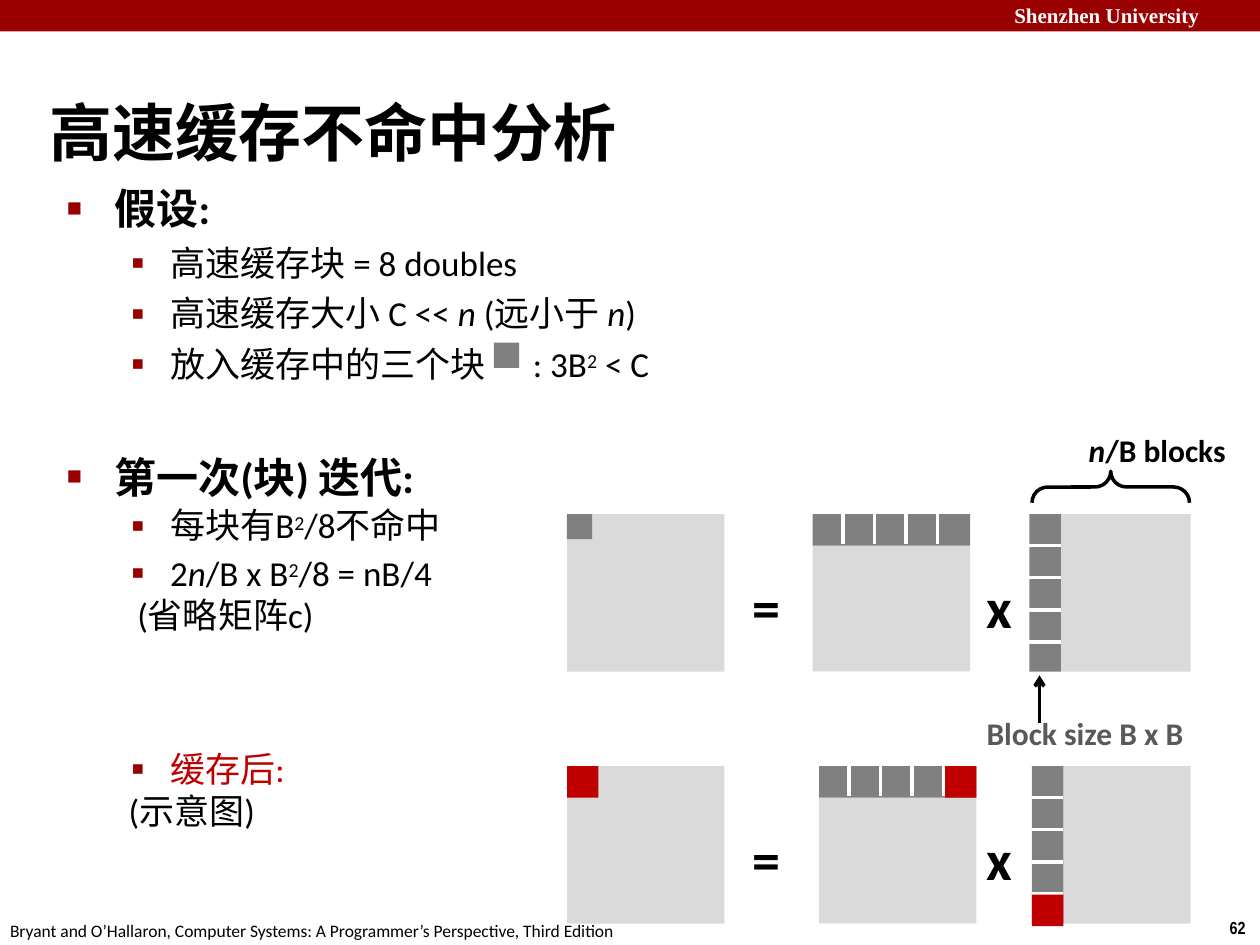
from lxml.etree import SubElement
from pptx import Presentation
from pptx.dml.color import RGBColor
from pptx.enum.shapes import MSO_CONNECTOR as Connector, MSO_SHAPE as Shape
from pptx.enum.text import MSO_ANCHOR as Anchor, MSO_AUTO_SIZE as AutoSize, PP_ALIGN as Align
from pptx.oxml.ns import qn
from pptx.util import Inches, Pt

BLACK, WHITE, DARK_RED, RED = "000000", "FFFFFF", "990000", "C00000"
LIGHT, GREY = "DADADA", "808080"
BLOCK, MATRIX = 0.25, 1.25

presentation = Presentation()
presentation.slide_width, presentation.slide_height = Inches(10), Inches(7.5)
slide = presentation.slides.add_slide(presentation.slide_layouts[1])
shapes = slide.shapes


def write(shape, paragraphs, base, top_inset=0, anchor=Anchor.TOP):
    """Fill a shape with (runs, layout) paragraphs; a run is (text, changes to base)."""
    frame = shape.text_frame
    frame.word_wrap, frame.auto_size, frame.vertical_anchor = True, AutoSize.NONE, anchor
    frame.margin_left = frame.margin_right = frame.margin_bottom = 0
    frame.margin_top = Inches(top_inset)
    for index, (runs, layout) in enumerate(paragraphs):
        paragraph = frame.paragraphs[0] if index == 0 else frame.add_paragraph()
        paragraph.level = layout.get("level", 0)
        properties = paragraph._p.get_or_add_pPr()
        properties.set("marL", str(Inches(layout.get("left", 0))))
        properties.set("indent", str(-Inches(layout.get("hang", 0))))
        if "bullet" in layout:
            character, percent = layout["bullet"]
            color = SubElement(properties, qn("a:buClr"))
            SubElement(color, qn("a:srgbClr"), val=DARK_RED)
            SubElement(properties, qn("a:buSzPct"), val=str(percent * 1000))
            SubElement(properties, qn("a:buFont"), typeface="Arial")
            SubElement(properties, qn("a:buChar"), char=character)
        paragraph.alignment = Align.LEFT
        paragraph.space_before = Pt(layout.get("before", 0))
        for text, changes in runs:
            run = paragraph.add_run()
            run.text = text
            for name, value in {**base, **changes}.items():
                if name == "color":
                    run.font.color.rgb = RGBColor.from_string(value)
                elif name in ("baseline", "spc"):
                    run._r.get_or_add_rPr().set(name, str(value))
                else:
                    setattr(run.font, name, value)


def add_rectangle(left, top, width, height, color):
    rectangle = shapes.add_shape(
        Shape.RECTANGLE, Inches(left), Inches(top), Inches(width), Inches(height))
    rectangle.shadow.inherit = False
    rectangle.fill.solid()
    rectangle.fill.fore_color.rgb = RGBColor.from_string(color)
    rectangle.line.fill.background()


# Text formats
plain = {"name": "Calibri", "size": Pt(20), "bold": False, "color": BLACK}
heading = {**plain, "size": Pt(24), "bold": True}
label = {**plain, "size": Pt(18), "bold": True}
operator = {**label, "size": Pt(32)}
small = {**plain, "size": Pt(10)}
italic = {"italic": True}
superscript = {"size": Pt(19.5), "baseline": 26000}
wide_space = {"spc": 2250}

# Paragraph layouts
top_item = {"left": 0.39, "hang": 0.38, "bullet": ("■", 60)}
sub_item = {"level": 1, "left": 0.83, "hang": 0.31, "bullet": ("▪", 110), "before": 4.8}
box_item = {"left": 0.33, "hang": 0.31, "bullet": ("▪", 110)}

# Header band
add_rectangle(0, 0, 10, 0.25, DARK_RED)

# Title and assumptions
title, body = shapes.title, slide.placeholders[1]
for placeholder, box in ((title, (0.39, 0.43, 8.3, 0.92)), (body, (0.52, 1.45, 5.31, 1.62))):
    placeholder.left, placeholder.top, placeholder.width, placeholder.height = map(Inches, box)
write(title, [([("高速缓存不命中分析", {})], {})],
      {**heading, "size": Pt(36)}, top_inset=0.31, anchor=Anchor.MIDDLE)
write(body, [
    ([("假设:", heading)], top_item),
    ([("高速缓存块 = 8 doubles", {})], sub_item),
    ([("高速缓存大小 C << ", {}), ("n ", italic), ("(远小于 ", {}), ("n", italic), (")", {})],
     sub_item),
    ([("放入缓存中的三个块", {}), (" ", wide_space), (": 3B", {}), ("2", superscript),
      (" < C", {})], sub_item),
], plain)

# Text boxes: position, paragraphs, format
text_boxes = [
    ((8.05, 0.02, 1.9, 0.22), [([("Shenzhen University", {})], {})],
     {**plain, "name": "Times New Roman", "size": Pt(12), "bold": True, "color": WHITE}),
    ((9.76, 7.28, 0.24, 0.2), [([("62", {})], {})],
     {**small, "name": "Arial Narrow", "bold": True}),
    ((0.08, 7.3, 5, 0.2),
     [([("Bryant and O’Hallaron, Computer Systems: A Programmer’s Perspective, Third Edition",
         {})], {})], small),
    ((0.52, 3.58, 3.4, 0.4), [([("第一次(块) 迭代:", {})], top_item)], heading),
    ((1.02, 4, 3.3, 1.04), [
        ([("每块有B", {}), ("2", superscript), ("/8不命中", {})], box_item),
        ([("2", {}), ("n", italic), ("/B x B", {}), ("2", superscript), ("/8 = nB/4", {})],
         {**box_item, "before": 3}),
        ([("(省略矩阵c)", {})], {"left": 0.07}),
    ], plain),
    ((1.02, 5.93, 2.59, 0.68), [
        ([("缓存后:", {"color": RED})], box_item),
        ([("(示意图)", {})], {}),
    ], plain),
    ((7.83, 5.67, 1.7, 0.28), [([("Block size B x B", {})], {})], {**label, "color": "595958"}),
    ((8.64, 3.42, 1.25, 0.28), [([("n", italic), ("/B blocks", {})], {})], label),
]
for top in (4.54, 6.54):
    for left, sign in ((5.97, "="), (7.83, "x")):
        text_boxes.append(((left, top, 0.25, 0.47), [([(sign, {})], {})], operator))

# Matrices with their block row and block column
lines = []
for top, row_left, column_left in ((4.08, 6.45, 8.17), (6.08, 6.5, 8.19)):
    column_right = column_left + BLOCK
    add_rectangle(4.5, top, MATRIX, MATRIX, LIGHT)
    add_rectangle(row_left, top + BLOCK, MATRIX, MATRIX - BLOCK, LIGHT)
    add_rectangle(row_left, top, MATRIX, BLOCK, GREY)
    add_rectangle(column_right, top, 9.45 - column_right, MATRIX, LIGHT)
    add_rectangle(column_left, top, BLOCK, MATRIX, GREY)
    for step in range(4):
        x = row_left + 0.24 + BLOCK * step
        y = top + BLOCK + 0.255 * step
        lines.append((x, top - 0.01, x, top + 0.24, WHITE))
        lines.append((column_left, y, column_right, y, WHITE))
lines.append((8.25, 5.74, 8.25, 5.36, BLACK))

for x1, y1, x2, y2, color in lines:
    line = shapes.add_connector(
        Connector.STRAIGHT, Inches(x1), Inches(y1), Inches(x2), Inches(y2))
    line.line.width = Pt(2)
    line.line.color.rgb = RGBColor.from_string(color)
    if color == BLACK:
        SubElement(line.line._get_or_add_ln(), qn("a:tailEnd"), type="arrow")
    SubElement(line._element.spPr, qn("a:effectLst"))

# Single blocks: the one being computed, the legend, and those cached last
add_rectangle(4.5, 4.08, 0.2, 0.2, GREY)
add_rectangle(3.92, 2.72, 0.2, 0.2, GREY)
for left, top in ((4.5, 6.08), (7.5, 6.08), (8.19, 7.1)):
    add_rectangle(left, top, BLOCK, BLOCK, RED)

# Brace over the block column, turned to point up
brace = shapes.add_shape(
    Shape.LEFT_BRACE, Inches(8.69), Inches(3.24), Inches(BLOCK), Inches(MATRIX))
brace.rotation = 90
brace.adjustments[0] = 0.5
brace.shadow.inherit = False
brace.fill.background()
brace.line.width = Pt(2)
brace.line.color.rgb = RGBColor.from_string(BLACK)

for box, paragraphs, base in text_boxes:
    write(shapes.add_textbox(*map(Inches, box)), paragraphs, base)

presentation.save("out.pptx")
